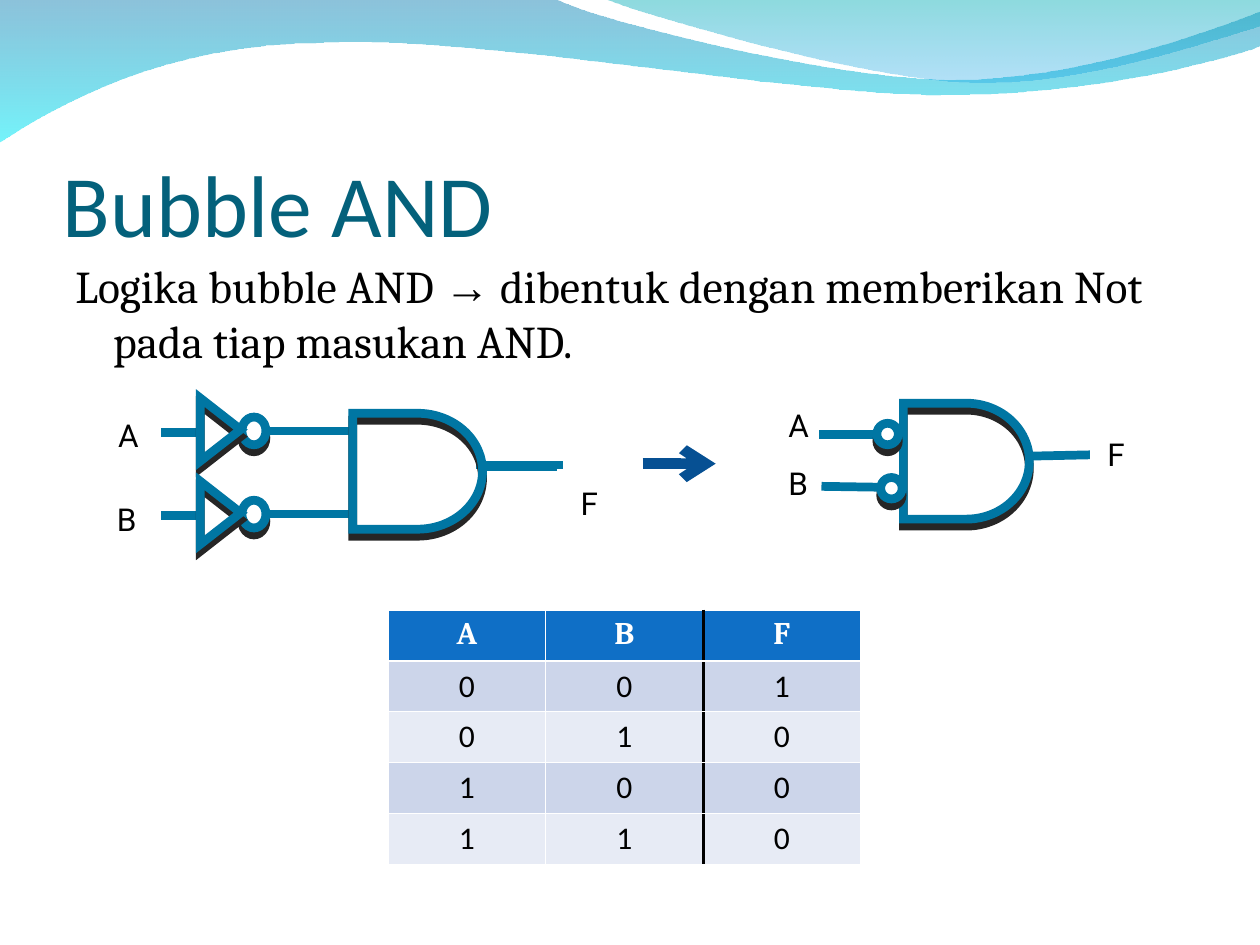
from lxml.etree import SubElement
from pptx import Presentation
from pptx.dml.color import RGBColor
from pptx.enum.shapes import MSO_CONNECTOR, MSO_SHAPE
from pptx.enum.text import MSO_ANCHOR, PP_ALIGN
from pptx.oxml import parse_xml
from pptx.oxml.ns import nsdecls, qn
from pptx.util import Inches, Pt

C = {
    "title": "04617B", "text": "000000", "white": "FFFFFF", "gate": "0076A3",
    "shadow": "262626", "arrow": "065093", "head": "0F6FC6",
    "odd": "CCD5EA", "even": "E7EBF5",
}
COLS, ROWS = 10, 7.5
prs = Presentation()
prs.slide_width, prs.slide_height = Inches(COLS), Inches(ROWS)
U = prs.slide_width / COLS  # one square grid unit
s = prs.slides.add_slide(prs.slide_layouts[6])


def grid(*values):
    """Turn grid columns and rows into slide lengths."""
    return [round(v * U) for v in values]


def add_text(shapes, at, runs, size, color="text", wrap=True):
    """Add a one-paragraph text box; runs are (text, font) pairs."""
    tf = shapes.add_textbox(*grid(*at)).text_frame
    tf.word_wrap = wrap
    for text, font in runs:
        r = tf.paragraphs[0].add_run()
        r.text = text
        r.font.name, r.font.size = font, Pt(size)
        r.font.color.rgb = RGBColor.from_string(C[color])
    return tf


# Header waves: straight points hold 2 numbers, Bezier curves hold 6
waves = [
    ([(0, -0.01), (4.4, -0.01), (4.76, 0.17, 6.64, 0.63, 7.58, 0.63),
      (8.53, 0.63, 9.58, 0.26, 10, 0.09), (10.01, 0.36),
      (9.83, 0.44, 8.7, 0.76, 7.46, 0.75), (6.22, 0.75, 3.82, 0.28, 2.57, 0.34),
      (1.29, 0.35, 0.46, 0.83, -0.01, 1.13)],
     [("0079AF", 45), ("00EBF8", 55)]),
    ([(4.79, -0.01), (5.09, 0.11, 6.82, 0.62, 7.69, 0.65),
      (8.56, 0.69, 9.61, 0.32, 10, 0.21), (10, 0)],
     [("00ADB6", 45), ("009BE5", 30)]),
]
for outline, stops in waves:
    fb = s.shapes.build_freeform(*grid(*outline[0]))
    fb.add_line_segments([grid(*seg[-2:]) for seg in outline[1:]], close=True)
    sp = fb.convert_to_shape()
    sp.shadow.inherit = False
    sp.line.fill.background()
    lines = list(sp._element.spPr.iter(qn("a:lnTo")))
    for seg, line in zip(outline[1:], lines):
        if len(seg) == 6:
            line.tag = qn("a:cubicBezTo")
            for k in (2, 0):
                x, y = grid(*seg[k:k + 2])
                line.insert(0, parse_xml(
                    f'<a:pt {nsdecls("a")} x="{x - sp.left}" y="{y - sp.top}"/>'))
    stop_xml = "".join(
        f'<a:gs pos="{i * 100000}"><a:srgbClr val="{color}">'
        f'<a:alpha val="{alpha * 1000}"/></a:srgbClr></a:gs>'
        for i, (color, alpha) in enumerate(stops))
    sp._element.spPr.find(qn("a:ln")).addprevious(parse_xml(
        f'<a:gradFill {nsdecls("a")} rotWithShape="1"><a:gsLst>{stop_xml}</a:gsLst>'
        '<a:lin ang="5400000" scaled="0"/></a:gradFill>'))

# Title and explanation
tf = add_text(s.shapes, (0.5, 0.77, 9, 1.25), [("Bubble AND", "Calibri")], 50, "title")
tf.vertical_anchor = MSO_ANCHOR.BOTTOM
tf.margin_left = tf.margin_right = tf.margin_bottom = 0
tf = add_text(s.shapes, (0.5, 2, 9, 4.8), [
    ("Logika bubble AND ", "Cambria"), ("→", "Arial"),
    (" dibentuk dengan memberikan Not pada tiap masukan AND.", "Cambria")], 26)
pPr = tf.paragraphs[0]._p.get_or_add_pPr()
pPr.set("marL", str(Inches(0.3)))
pPr.set("indent", str(Inches(-0.3)))

# Truth table
rows = ["ABF", "001", "010", "100", "110"]
table = s.shapes.add_table(5, 3, *grid(3.08, 4.84, 3.75, 2.02)).table
table.first_row = table.horz_banding = False
for i, row in enumerate(rows):
    for j, value in enumerate(row):
        cell = table.cell(i, j)
        p = cell.text_frame.paragraphs[0]
        p.alignment = PP_ALIGN.CENTER
        r = p.add_run()
        r.text = value
        r.font.size, r.font.bold = Pt(18), i == 0
        r.font.name = "Calibri" if i else "Cambria"
        r.font.color.rgb = RGBColor.from_string(C["text" if i else "white"])
        thick = {"lnL": j == 2, "lnR": j == 1, "lnT": i == 1, "lnB": i == 0}
        for side, is_thick in thick.items():
            divider = is_thick and side in ("lnL", "lnR")
            width = 2 if divider else 1.47 if is_thick else 0.45
            cell._tc.get_or_add_tcPr().append(parse_xml(
                f'<a:{side} {nsdecls("a")} w="{Pt(width)}">'
                f'<a:solidFill><a:srgbClr val="{C["text" if divider else "white"]}"/>'
                f'</a:solidFill></a:{side}>'))
        cell.fill.solid()
        cell.fill.fore_color.rgb = RGBColor.from_string(
            C["head" if i == 0 else "odd" if i % 2 else "even"])

# Circuits: each layer holds outlined parts, wires and labels
DELAY, BUBBLE, TRIANGLE = (
    MSO_SHAPE.FLOWCHART_DELAY, MSO_SHAPE.OVAL, MSO_SHAPE.ISOSCELES_TRIANGLE)
bubble_and = (
    [(DELAY, (7.17, 3.2, 1, 0.92)), (BUBBLE, (6.99, 3.79, 0.17, 0.17))],
    [(8.65, 3.61, 8.19, 3.62), (6.5, 3.45, 7.17, 3.45), (6.52, 3.86, 7.17, 3.87)],
    [("A", 6.16, 3.17), ("B", 6.16, 3.63), ("F", 8.69, 3.4)])
arrow = (5.1, 3.68, 5.68, 3.68)
upper_bubble = [(BUBBLE, (6.96, 3.36, 0.17, 0.17))]
not_parts, not_wires = [], []
for y in (3.42, 4.08):
    not_parts += [(BUBBLE, (1.92, y - 0.11, 0.19, 0.22)),
                  (TRIANGLE, (1.5, y - 0.17, 0.5, 0.32))]
    not_wires += [(1.57, y + 0.01, 1.28, y + 0.01), (2.12, y, 2.8, y)]
not_and = (
    [(DELAY, (2.8, 3.28, 1.03, 0.92))] + not_parts,
    [(3.78, 3.69, 4.47, 3.69), (4.42, 3.7, 3.81, 3.7)] + not_wires,
    [("A", 0.84, 3.25), ("B", 0.83, 3.92), ("F", 4.51, 3.79)])
layers = [bubble_and, ([], [arrow], []), (upper_bubble, [], []), not_and]

for parts, wires, labels in layers:
    shapes = s.shapes.add_group_shape().shapes if labels else s.shapes
    # Bubbles and triangles lie over the wires, gates under them
    for ends in wires:
        wire = shapes.add_connector(MSO_CONNECTOR.STRAIGHT, *grid(*ends))
        wire.line.width = Pt(6 if ends == arrow else 5)
        wire.line.color.rgb = RGBColor.from_string(C["arrow" if ends == arrow else "gate"])
        if ends == arrow:
            SubElement(wire.line._get_or_add_ln(), qn("a:tailEnd"), type="arrow")
        SubElement(wire._element.spPr, qn("a:effectLst"))
    for kind, at in parts:
        sp = shapes.add_shape(kind, *grid(*at))
        sp.line.width = Pt(5)
        sp.line.color.rgb = RGBColor.from_string(C["gate"])
        SubElement(sp.line._get_or_add_ln(), qn("a:miter"), lim="800000")
        if kind == BUBBLE:
            sp.fill.solid()
            sp.fill.fore_color.rgb = RGBColor.from_string(C["white"])
        else:
            sp.fill.background()
        if kind == TRIANGLE:
            sp.rotation = 90
        sp.shadow.inherit = False
        sp._element.spPr.find(qn("a:effectLst")).append(parse_xml(
            f'<a:outerShdw {nsdecls("a")} blurRad="0" dist="{Pt(4)}" dir="5400000" '
            f'rotWithShape="0"><a:srgbClr val="{C["shadow"]}"/></a:outerShdw>'))
    for name, x, y in labels:
        add_text(shapes, (x, y, 0.36, 0.4), [(name, "Roboto")], 18, wrap=False)

prs.save("out.pptx")
